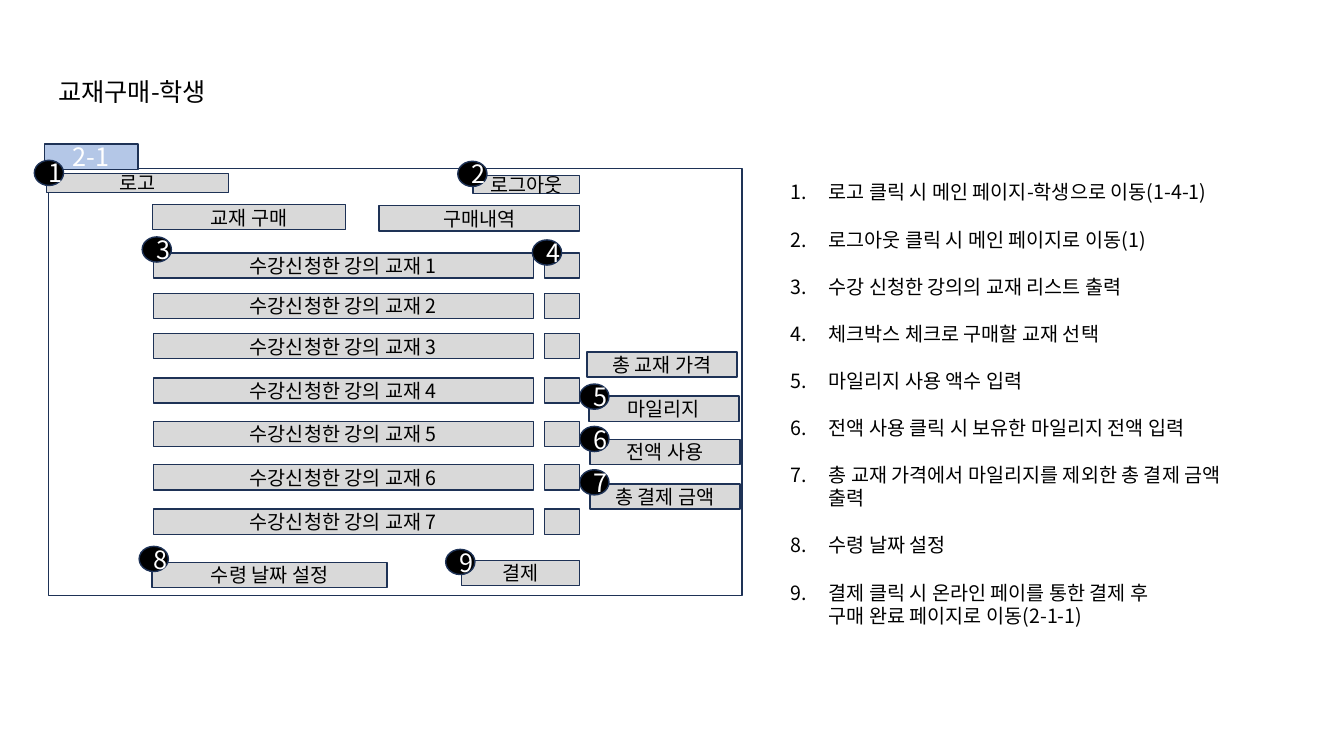
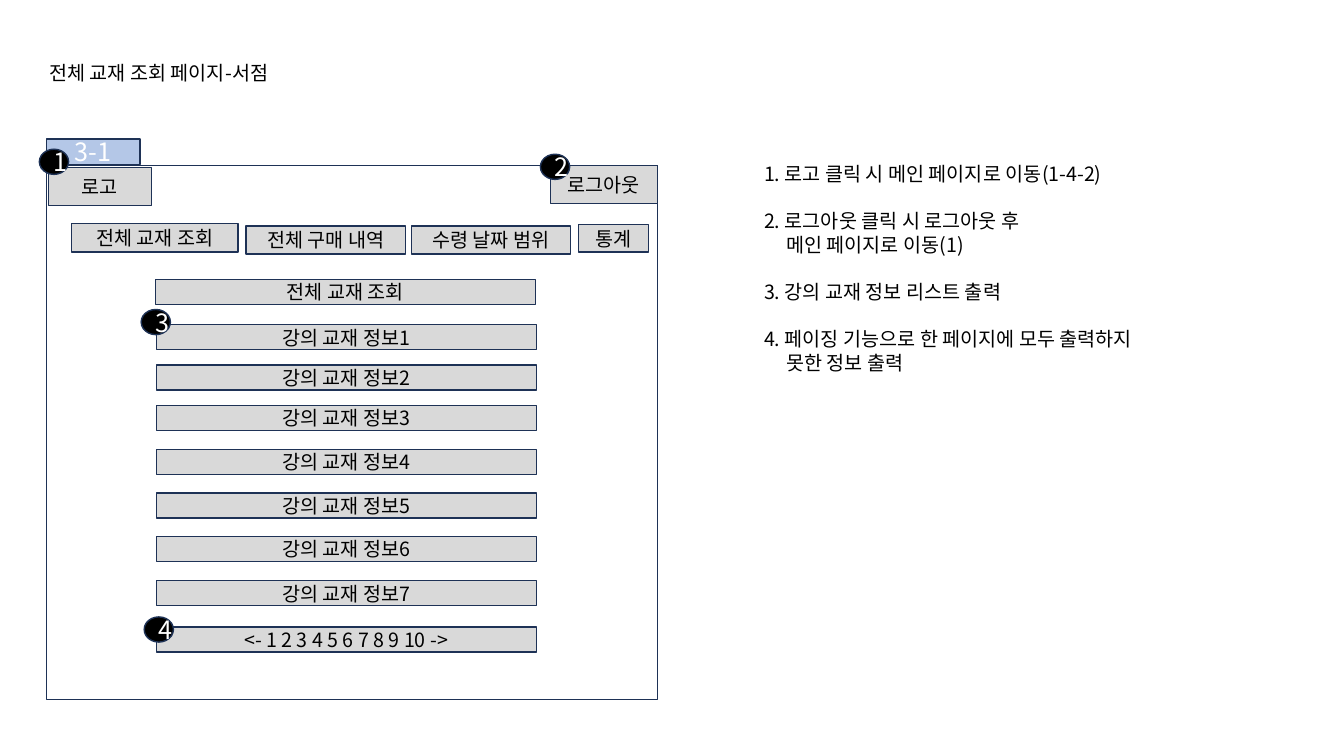
"""Builds two annotated wireframes of a textbook shop."""
from pptx import Presentation
from pptx.dml.color import RGBColor
from pptx.enum.shapes import MSO_SHAPE
from pptx.enum.text import PP_ALIGN
from pptx.oxml.ns import qn
from pptx.util import Inches, Pt

FONT = "Noto Sans CJK KR"
BLACK, WHITE, NAVY = "000000", "FFFFFF", "1E3256"
GRAY, BLUE = "D9D9D9", "B4C7E7"
ROW_OFFSETS = [0, 0.4, 0.8, 1.24, 1.67, 2.1, 2.54]
ROW_W, ROW_H = 3.77, 0.25


def write(frame, items, size=14, color=BLACK, align=PP_ALIGN.LEFT, gap=0, margin=0, hang=0, numbered=False):
    frame.word_wrap = True
    for index, item in enumerate(items):
        paragraph = frame.paragraphs[0] if index == 0 else frame.add_paragraph()
        paragraph.text = item
        formats = {"alignment": align, "line_spacing": Pt(size * 1.2), "space_after": Pt(gap)}
        for name, value in formats.items():
            setattr(paragraph, name, value)
        properties = paragraph._p.get_or_add_pPr()
        properties.set("marL", str(Inches(margin)))
        properties.set("indent", str(Inches(-hang)))
        if numbered:
            bullet_font = properties.makeelement(qn("a:buFont"), {"typeface": "+mj-lt"})
            number = properties.makeelement(qn("a:buAutoNum"), {"type": "arabicPeriod"})
            properties.extend([bullet_font, number])
        for run in paragraph.runs:
            run.font.size = Pt(size)
            run.font.name = FONT
            run.font.color.rgb = RGBColor.from_string(color)
            east_asian = run.font._element.makeelement(qn("a:ea"), {"typeface": FONT})
            run.font._element.find(qn("a:latin")).addnext(east_asian)


def box(slide, at, text="", fill=GRAY, size=14, color=BLACK, kind=MSO_SHAPE.RECTANGLE):
    shape = slide.shapes.add_shape(kind, *map(Inches, at))
    shape.shadow.inherit = False
    shape.fill.solid()
    shape.fill.fore_color.rgb = RGBColor.from_string(fill)
    shape.line.color.rgb = RGBColor.from_string(NAVY)
    shape.line.width = Pt(1)
    if text:
        write(shape.text_frame, [text], size, color, PP_ALIGN.CENTER)


screens = [
    {
        "title": ("교재구매-학생", 18, (0.48, 0.71, 1.9, 0.4)),
        "window": (0.48, 1.67, 6.88, 4.24),
        "tab": ("2-1", 0.44, 1.43),
        "buttons": [
            ("로고", 0.46, 1.72, 1.81, 0.19),
            ("로그아웃", 4.69, 1.74, 1.06, 0.18),
            ("교재 구매", 1.51, 2.03, 1.92, 0.25),
            ("구매내역", 3.76, 2.04, 1.99, 0.25),
            ("총 교재 가격", 5.82, 3.49, 1.49, 0.25),
            ("마일리지", 5.84, 3.93, 1.49, 0.25),
            ("전액 사용", 5.85, 4.36, 1.49, 0.25),
            ("총 결제 금액", 5.85, 4.8, 1.49, 0.25),
            ("수령 날짜 설정", 1.51, 5.58, 2.33, 0.25),
            ("결제", 4.58, 5.56, 1.17, 0.25),
        ],
        "rows": ("수강신청한 강의 교재 ", 1.52, 2.51),
        "checkbox_left": 5.4,
        "badges": [(0.34, 1.59), (4.54, 1.6), (1.41, 2.35), (5.28, 2.38), (5.75, 3.81),
                   (5.75, 4.23), (5.75, 4.66), (1.38, 5.42), (4.42, 5.45)],
        "notes_at": (7.74, 1.74, 4.7, 4.81),
        "notes_style": {"margin": 0.38, "hang": 0.38, "numbered": True},
        "notes": [
            "로고 클릭 시 메인 페이지-학생으로 이동(1-4-1)",
            "로그아웃 클릭 시 메인 페이지로 이동(1)",
            "수강 신청한 강의의 교재 리스트 출력",
            "체크박스 체크로 구매할 교재 선택",
            "마일리지 사용 액수 입력",
            "전액 사용 클릭 시 보유한 마일리지 전액 입력",
            "총 교재 가격에서 마일리지를 제외한 총 결제 금액 출력",
            "수령 날짜 설정",
            "결제 클릭 시 온라인 페이를 통한 결제 후\v구매 완료 페이지로 이동(2-1-1)",
        ],
    },
    {
        "title": ("전체 교재 조회 페이지-서점", 14, (0.39, 0.56, 6.72, 0.34)),
        "window": (0.46, 1.64, 6.06, 5.3),
        "tab": ("3-1", 0.46, 1.38),
        "buttons": [
            ("로고", 0.48, 1.66, 1.02, 0.38),
            ("로그아웃", 5.46, 1.64, 1.06, 0.38),
            ("전체 교재 조회", 0.71, 2.22, 1.65, 0.28),
            ("전체 구매 내역", 2.44, 2.24, 1.58, 0.28),
            ("수령 날짜 범위", 4.08, 2.24, 1.58, 0.28),
            ("통계", 5.74, 2.23, 0.69, 0.27),
            ("전체 교재 조회", 1.54, 2.77, ROW_W, ROW_H),
            ("<- 1 2 3 4 5 6 7 8 9 10 ->", 1.55, 6.22, ROW_W, ROW_H),
        ],
        "rows": ("강의 교재 정보", 1.55, 3.22),
        "checkbox_left": None,
        "badges": [(0.39, 1.48), (5.36, 1.53), (1.4, 3.07), (1.43, 6.12)],
        "notes_at": (7.45, 1.56, 4.64, 2.22),
        "notes_style": {"margin": 0.25, "hang": 0.22},
        "notes": [
            "1. 로고 클릭 시 메인 페이지로 이동(1-4-2)",
            "2. 로그아웃 클릭 시 로그아웃 후\v메인 페이지로 이동(1)",
            "3. 강의 교재 정보 리스트 출력",
            "4. 페이징 기능으로 한 페이지에 모두 출력하지\v못한 정보 출력",
        ],
    },
]

deck = Presentation()
deck.slide_width, deck.slide_height = Inches(13.33), Inches(7.5)

for screen in screens:
    slide = deck.slides.add_slide(deck.slide_layouts[6])
    heading, heading_size, heading_at = screen["title"]
    title = slide.shapes.add_textbox(*map(Inches, heading_at))
    write(title.text_frame, [heading], heading_size)

    box(slide, screen["window"], fill=WHITE)
    page, tab_left, tab_top = screen["tab"]
    box(slide, (tab_left, tab_top, 0.93, 0.25), page, BLUE, 18, WHITE)
    for label, *at in screen["buttons"]:
        box(slide, at, label)

    row_label, row_left, first_top = screen["rows"]
    for number, offset in enumerate(ROW_OFFSETS, 1):
        top = first_top + offset
        box(slide, (row_left, top, ROW_W, ROW_H), f"{row_label}{number}")
        if screen["checkbox_left"]:
            box(slide, (screen["checkbox_left"], top, 0.35, ROW_H))

    for number, (left, top) in enumerate(screen["badges"], 1):
        box(slide, (left, top, 0.29, 0.25), str(number), BLACK, 18, WHITE, MSO_SHAPE.OVAL)

    notes = slide.shapes.add_textbox(*map(Inches, screen["notes_at"]))
    write(notes.text_frame, screen["notes"], gap=16.8, **screen["notes_style"])

deck.save("out.pptx")
